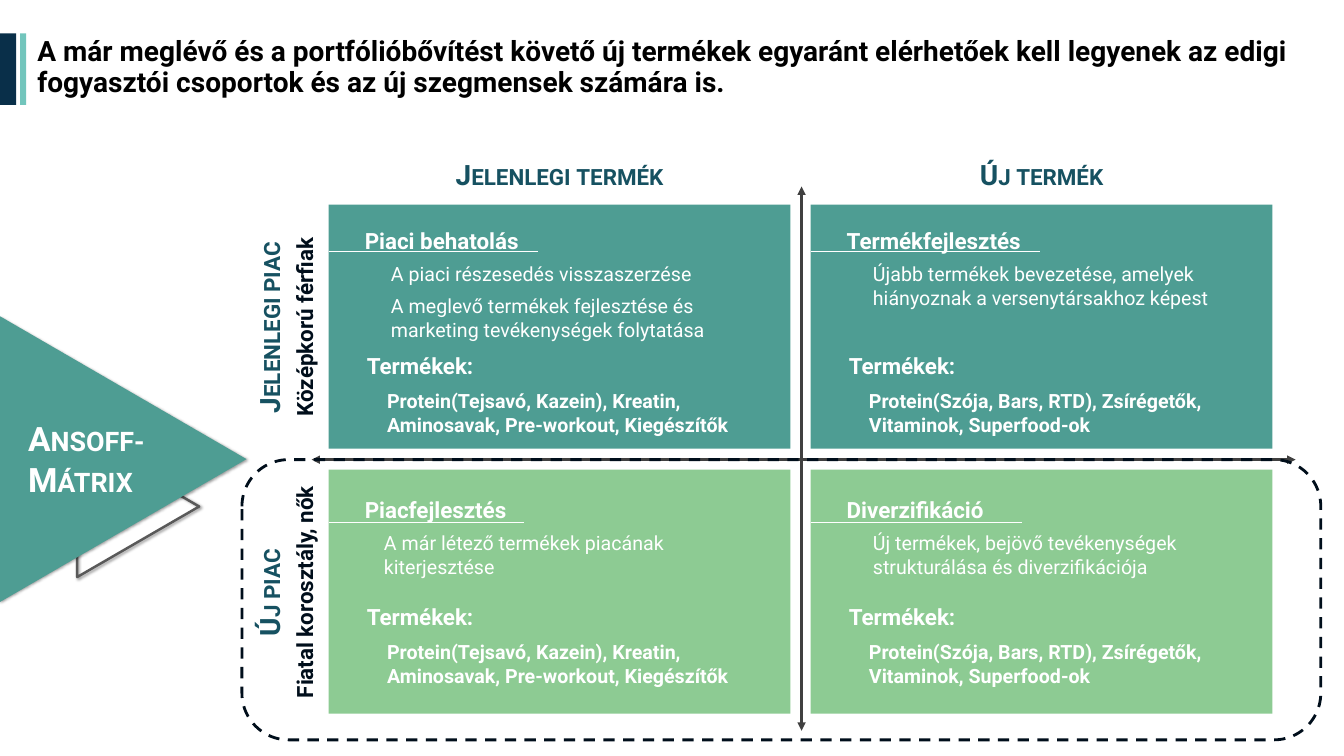
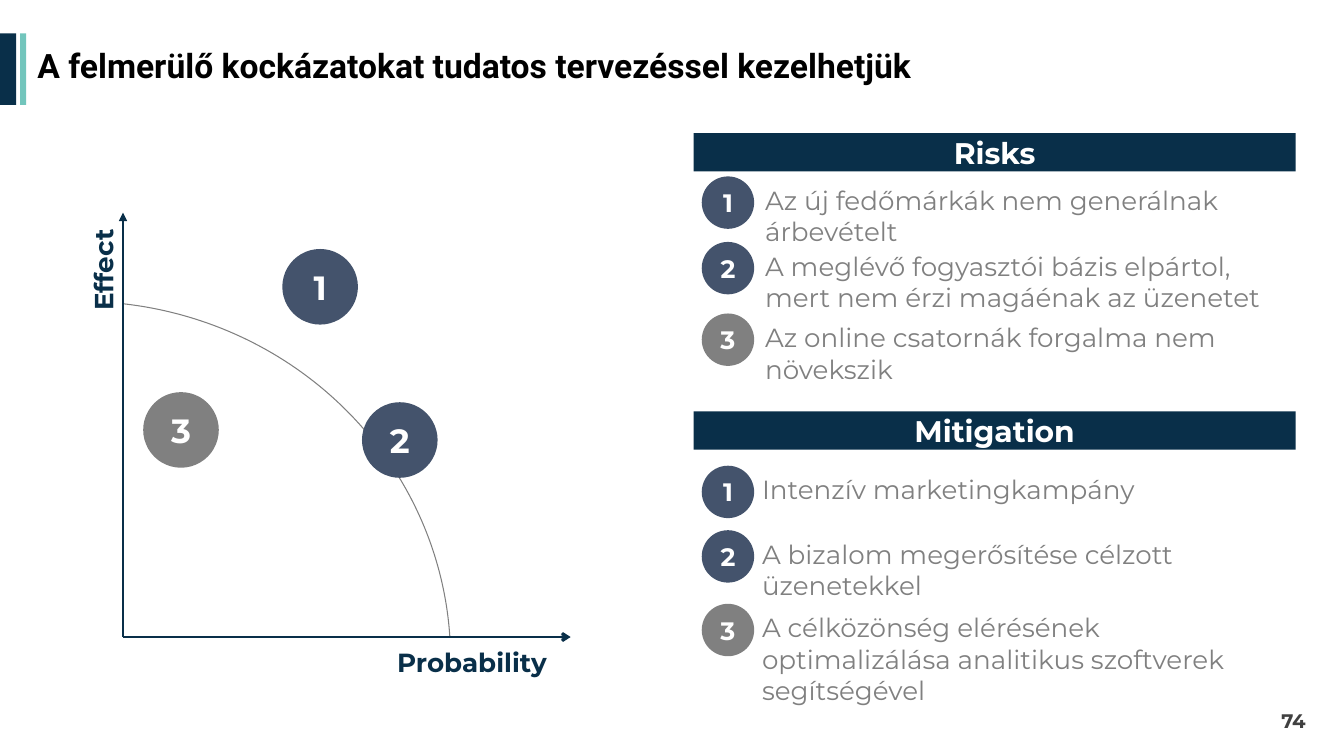
"""Build two strategy slides: an Ansoff matrix and a risk overview."""
from itertools import product

from lxml.etree import SubElement
from pptx import Presentation
from pptx.dml.color import RGBColor
from pptx.enum.dml import MSO_LINE
from pptx.enum.shapes import MSO_CONNECTOR, MSO_SHAPE
from pptx.enum.text import MSO_ANCHOR, MSO_AUTO_SIZE, PP_ALIGN
from pptx.oxml.ns import qn
from pptx.util import Inches, Pt

NAVY = RGBColor(0x09, 0x2F, 0x49)
MINT = RGBColor(0x72, 0xC5, 0xBC)
TEAL = RGBColor(0x4E, 0x9D, 0x93)
GREEN = RGBColor(0x8D, 0xCB, 0x93)
PETROL = RGBColor(0x16, 0x51, 0x61)
SLATE = RGBColor(0x44, 0x53, 0x6C)
INK = RGBColor(0x00, 0x0E, 0x1B)
CHARCOAL = RGBColor(0x40, 0x40, 0x40)
DARK_GRAY = RGBColor(0x59, 0x59, 0x59)
GRAY = RGBColor(0x80, 0x80, 0x80)
WHITE = RGBColor(0xFF, 0xFF, 0xFF)
BLACK = RGBColor(0x00, 0x00, 0x00)

ROBOTO = "Roboto"
MONTSERRAT = "Montserrat"

COLUMN_LEFTS = (3.26, 8.04)
ROW_TOPS = (2.03, 4.66)
CARD_WIDTH, CARD_HEIGHT = 4.58, 2.42
HEADING_TOPS = (2.2, 4.87)
RULE_TOPS = (2.49, 5.18)
PRODUCTS_TOPS = (3.44, 5.93)
ROW_COLORS = (TEAL, GREEN)

COLUMN_LABELS = ("Jelenlegi termék", "Új termék")
ROW_LABELS = (("Jelenlegi piac", "Középkorú férfiak"), ("Új piac", "Fiatal korosztály, nők"))
COLUMN_PRODUCTS = (
    "Protein(Tejsavó, Kazein), Kreatin, Aminosavak, Pre-workout, Kiegészítők",
    "Protein(Szója, Bars, RTD), Zsírégetők, Vitaminok, Superfood-ok",
)
STRATEGIES = {
    (0, 0): ("Piaci behatolás", 2.08, 0.26, [
        "A piaci részesedés visszaszerzése",
        "A meglevő termékek fejlesztése és marketing tevékenységek folytatása"]),
    (0, 1): ("Termékfejlesztés", 2.28, 0.26, [
        "Újabb termékek bevezetése, amelyek hiányoznak a versenytársakhoz képest"]),
    (1, 0): ("Piacfejlesztés", 1.94, 0.19, [
        "A már létező termékek piacának kiterjesztése"]),
    (1, 1): ("Diverzifikáció", 2.1, 0.26, [
        "Új termékek, bejövő tevékenységek strukturálása és diverzifikációja"]),
}

RISKS = (
    (1.75, "Az új fedőmárkák nem generálnak árbevételt"),
    (2.4, "A meglévő fogyasztói bázis elpártol, mert nem érzi magáénak az üzenetet"),
    (3.11, "Az online csatornák forgalma nem növekszik"),
)
MITIGATIONS = (
    (4.62, "Intenzív marketingkampány"),
    (5.26, "A bizalom megerősítése célzott üzenetekkel"),
    (5.99, "A célközönség elérésének optimalizálása analitikus szoftverek segítségével"),
)
RISK_COLORS = (SLATE, SLATE, GRAY)
RISK_POSITIONS = ((2.8, 2.47), (3.59, 3.99), (1.42, 3.89))


def write(paragraph, text, *, size, color, font=ROBOTO, bold=True, align=PP_ALIGN.LEFT,
          small_caps=False, indent=0, after=0, line_spacing=None):
    """Put formatted text into a paragraph."""
    if indent:
        properties = paragraph._p.get_or_add_pPr()
        properties.set("marL", str(Inches(indent)))
        properties.set("indent", "0")
    paragraph.alignment = align
    paragraph.space_after = Pt(after)
    if line_spacing:
        paragraph.line_spacing = line_spacing
    run = paragraph.add_run()
    run.text = text
    run.font.size = Pt(size)
    run.font.name = font
    run.font.bold = bold
    run.font.color.rgb = color
    if small_caps:
        run._r.get_or_add_rPr().set("cap", "small")


def add_text(slide, lines, left, top, width, height, rotation=0,
             anchor=MSO_ANCHOR.TOP, **style):
    """Add a wrapping text box with one paragraph per line and return its frame."""
    box = slide.shapes.add_textbox(Inches(left), Inches(top), Inches(width), Inches(height))
    box.rotation = rotation
    frame = box.text_frame
    frame.word_wrap = True
    frame.auto_size = MSO_AUTO_SIZE.NONE
    frame.vertical_anchor = anchor
    for index, line in enumerate(lines):
        write(frame.add_paragraph() if index else frame.paragraphs[0], line, **style)
    return frame


def add_figure(slide, preset, left, top, width, height, fill=None, line=None, weight=1,
               rotation=0):
    """Add a preset shape without a shadow."""
    figure = slide.shapes.add_shape(preset, Inches(left), Inches(top),
                                    Inches(width), Inches(height))
    figure.rotation = rotation
    figure.shadow.inherit = False
    if fill is None:
        figure.fill.background()
    else:
        figure.fill.solid()
        figure.fill.fore_color.rgb = fill
    if line is None:
        figure.line.fill.background()
    else:
        figure.line.color.rgb = line
        figure.line.width = Pt(weight)
    return figure


def add_soft_shadow(figure):
    """Give a shape a small diagonal shadow."""
    effects = figure.element.spPr.find(qn("a:effectLst"))
    shadow = SubElement(effects, qn("a:outerShdw"), blurRad=str(Pt(2)), dist=str(Pt(1)),
                        dir="2700000", algn="tl", rotWithShape="0")
    color = SubElement(shadow, qn("a:srgbClr"), val="000000")
    SubElement(color, qn("a:alpha"), val="40000")


def add_line(slide, start, end, color, weight, head=None, tail=None):
    """Add a straight line with optional arrowheads."""
    line = slide.shapes.add_connector(MSO_CONNECTOR.STRAIGHT,
                                      *(Inches(value) for value in (*start, *end)))
    line.line.color.rgb = color
    line.line.width = Pt(weight)
    outline = line.line._get_or_add_ln()
    for tag, arrowhead in (("a:headEnd", head), ("a:tailEnd", tail)):
        if arrowhead:
            SubElement(outline, qn(tag), type=arrowhead)
    SubElement(line.element.spPr, qn("a:effectLst"))


def add_badge(slide, number, left, top, diameter, size):
    """Add a numbered circle in the colour of its risk."""
    badge = add_figure(slide, MSO_SHAPE.OVAL, left, top, diameter, diameter,
                       fill=RISK_COLORS[number - 1])
    frame = badge.text_frame
    frame.margin_left = frame.margin_right = Inches(0.04)
    frame.vertical_anchor = MSO_ANCHOR.MIDDLE
    write(frame.paragraphs[0], str(number), size=size, color=WHITE, font=MONTSERRAT,
          align=PP_ALIGN.CENTER)


def add_title(slide, text, size):
    """Fill the title placeholder."""
    frame = slide.shapes.title.text_frame
    frame.vertical_anchor = MSO_ANCHOR.MIDDLE
    frame.auto_size = MSO_AUTO_SIZE.NONE
    write(frame.paragraphs[0], text, size=size, color=BLACK, line_spacing=0.9)


def style_layout(layout, slide):
    """Place the title and the two left bands on the shared layout."""
    title = layout.placeholders[0]
    title.left, title.top = Inches(0.27), Inches(0.32)
    title.width, title.height = Inches(12.77), Inches(0.71)
    for shape_id, (left, width, color) in enumerate(((0, 0.16, NAVY), (0.2, 0.06, MINT)), 100):
        band = add_figure(slide, MSO_SHAPE.RECTANGLE, left, 0.33, width, 0.71, fill=color)
        band.element.xpath(".//p:cNvPr")[0].set("id", str(shape_id))
        layout.shapes.element.append(band.element)


def add_strategy(slide, row, column):
    """Add one quadrant with its heading, description and products."""
    heading, rule_length, indent, descriptions = STRATEGIES[row, column]
    left = COLUMN_LEFTS[column]
    add_figure(slide, MSO_SHAPE.RECTANGLE, left, ROW_TOPS[row], CARD_WIDTH, CARD_HEIGHT,
               fill=ROW_COLORS[row])
    frame = add_text(slide, [heading], left + 0.26, HEADING_TOPS[row], 4, 1.25,
                     size=16, color=WHITE, after=6)
    for description in descriptions:
        write(frame.add_paragraph(), description, size=14, color=WHITE, bold=False,
              indent=indent, after=6)
    add_line(slide, (left, RULE_TOPS[row]), (left + rule_length, RULE_TOPS[row]), WHITE, 0.5)
    products_left, products_top = left + 0.28, PRODUCTS_TOPS[row]
    add_text(slide, ["Termékek:"], products_left, products_top, 1.67, 0.37,
             size=16, color=WHITE)
    add_text(slide, [COLUMN_PRODUCTS[column]], products_left + 0.2, products_top + 0.37,
             3.99, 0.57, size=14, color=WHITE)


def build_ansoff_slide(slide):
    """Build the Ansoff matrix."""
    add_title(slide, "A már meglévő és a portfólióbővítést követő új termékek egyaránt "
                     "elérhetőek kell legyenek az edigi fogyasztói csoportok és az új "
                     "szegmensek számára is.", 20)
    for row, column in product(range(2), repeat=2):
        add_strategy(slide, row, column)
    for start, end in (((3.09, 4.56), (12.85, 4.56)), ((7.95, 1.85), (7.95, 7.25))):
        add_line(slide, start, end, CHARCOAL, 2, head="triangle", tail="triangle")

    axis_style = dict(size=20, color=PETROL, small_caps=True, align=PP_ALIGN.CENTER)
    for left, label in zip(COLUMN_LEFTS, COLUMN_LABELS):
        add_text(slide, [label], left, 1.51, CARD_WIDTH, 0.44, **axis_style)
    for top, (market, audience) in zip(ROW_TOPS, ROW_LABELS):
        add_text(slide, [market], 1.46, top + 1, CARD_HEIGHT, 0.44, rotation=270, **axis_style)
        add_text(slide, [audience], 1.81, top + 1.03, CARD_HEIGHT, 0.37, rotation=270,
                 size=16, color=INK, align=PP_ALIGN.CENTER)

    back_triangle = add_figure(slide, MSO_SHAPE.ISOSCELES_TRIANGLE, 0.67, 4.42, 1.4, 1.21,
                               line=DARK_GRAY, weight=1.75, rotation=90)
    front_triangle = add_figure(slide, MSO_SHAPE.ISOSCELES_TRIANGLE, -0.2, 3.33, 2.84, 2.45,
                                fill=TEAL, rotation=90)
    for triangle in (back_triangle, front_triangle):
        add_soft_shadow(triangle)
    add_text(slide, ["Ansoff-", "Mátrix"], 0.18, 4.1, 1.55, 0.91,
             size=24, color=WHITE, small_caps=True)
    new_market_frame = add_figure(slide, MSO_SHAPE.ROUNDED_RECTANGLE, 2.4, 4.56, 10.7, 2.78,
                                  line=INK, weight=2)
    new_market_frame.line.dash_style = MSO_LINE.DASH


def add_panel(slide, heading, top, text_left, items):
    """Add a heading bar with numbered statements below it."""
    bar = add_figure(slide, MSO_SHAPE.RECTANGLE, 6.88, top, 5.97, 0.38, fill=NAVY)
    bar.text_frame.vertical_anchor = MSO_ANCHOR.MIDDLE
    write(bar.text_frame.paragraphs[0], heading, size=21.3, color=WHITE, font=MONTSERRAT,
          align=PP_ALIGN.CENTER)
    for number, (item_top, statement) in enumerate(items, 1):
        add_badge(slide, number, 6.96, item_top, 0.52, 18)
        add_text(slide, [statement], text_left, item_top + 0.03, 5.37, 0.73,
                 size=18.7, color=GRAY, font=MONTSERRAT, bold=False)


def build_risk_slide(slide):
    """Build the risk chart and the panels beside it."""
    add_title(slide, "A felmerülő kockázatokat tudatos tervezéssel kezelhetjük", 24)
    threshold = add_figure(slide, MSO_SHAPE.ARC, -2.87, 2.99, 7.34, 7.11,
                           line=GRAY, weight=0.75)
    for index, degrees in enumerate((276.7, 356.4)):
        threshold.adjustments[index] = degrees * 0.6
    add_line(slide, (1.22, 6.32), (5.66, 6.32), NAVY, 2, tail="arrow")
    add_line(slide, (1.22, 6.32), (1.22, 2.11), NAVY, 2, tail="triangle")
    axis_style = dict(size=18.7, color=NAVY, font=MONTSERRAT)
    add_text(slide, ["Effect"], 0.52, 2.47, 1.01, 0.42, rotation=270,
             align=PP_ALIGN.CENTER, **axis_style)
    add_text(slide, ["Probability"], 3.84, 6.36, 2.96, 0.42, **axis_style)
    for number, (left, top) in enumerate(RISK_POSITIONS, 1):
        add_badge(slide, number, left, top, 0.75, 24)

    add_panel(slide, "Risks", 1.32, 7.49, RISKS)
    add_panel(slide, "Mitigation", 4.08, 7.46, MITIGATIONS)
    add_text(slide, ["74"], 10.05, 6.95, 3, 0.4, anchor=MSO_ANCHOR.MIDDLE,
             size=14, color=CHARCOAL, font=MONTSERRAT, align=PP_ALIGN.RIGHT)


def main():
    """Create and save the presentation."""
    presentation = Presentation()
    presentation.slide_width, presentation.slide_height = Inches(13.33), Inches(7.5)
    layout = presentation.slide_layouts[5]
    ansoff_slide = presentation.slides.add_slide(layout)
    style_layout(layout, ansoff_slide)
    build_ansoff_slide(ansoff_slide)
    build_risk_slide(presentation.slides.add_slide(layout))
    presentation.save("out.pptx")


if __name__ == "__main__":
    main()
